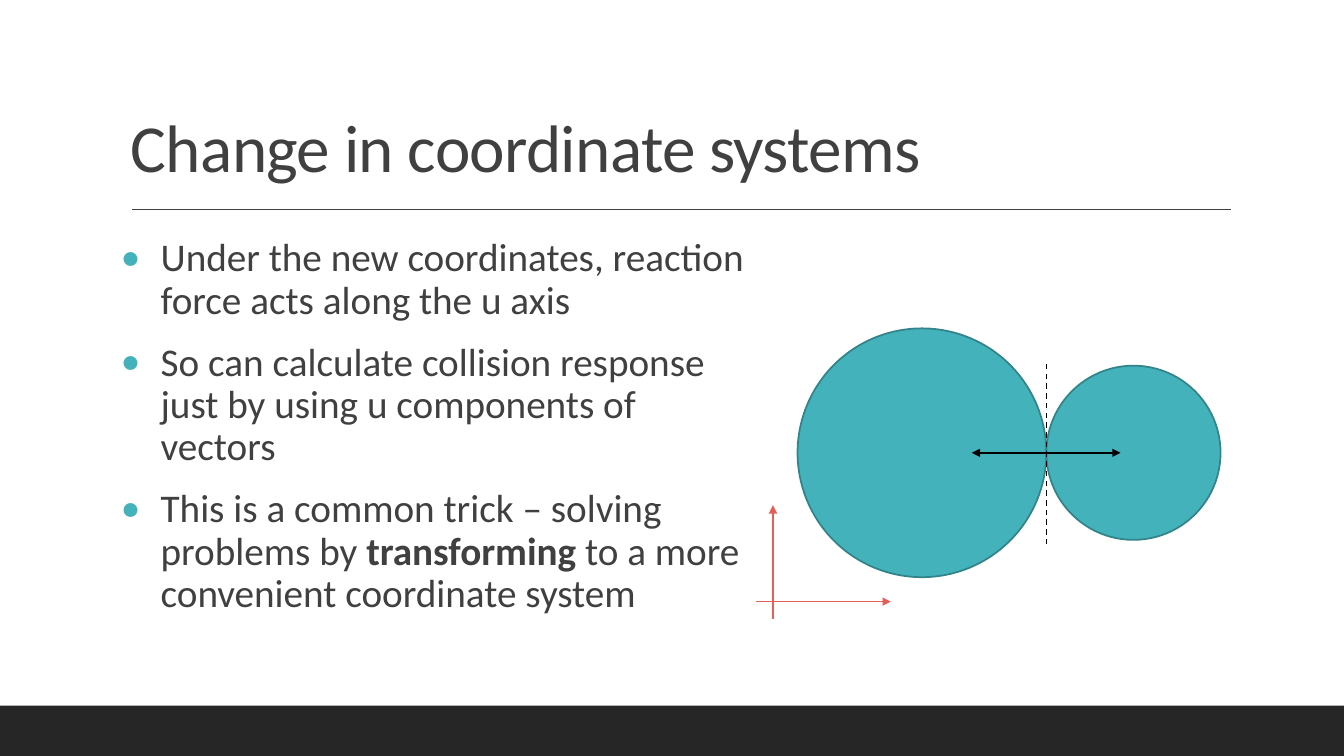
from dataclasses import dataclass

from lxml.etree import SubElement
from pptx import Presentation
from pptx.dml.color import RGBColor
from pptx.enum.dml import MSO_LINE_DASH_STYLE as Dash
from pptx.enum.shapes import MSO_CONNECTOR as Conn, MSO_SHAPE as Shape
from pptx.enum.text import MSO_ANCHOR as Anchor
from pptx.oxml.ns import qn
from pptx.util import Cm, Pt

INK = RGBColor(0x40, 0x40, 0x40)
BAND = RGBColor(0x26, 0x26, 0x26)
TEAL = RGBColor(0x44, 0xB2, 0xBB)
TEAL_DARK = RGBColor(0x32, 0x84, 0x8A)
RED = RGBColor(0xE1, 0x60, 0x57)
BLACK = RGBColor(0, 0, 0)

FONT = "Calibri"
SLIDE_W, SLIDE_H = 33.87, 19.05
BAND_H = 1.27
CONTACT_X, CENTRE_Y = 26.37, 11.41


@dataclass
class Ball:
    left: float
    size: float


@dataclass
class Line:
    x1: float
    y1: float
    x2: float
    y2: float
    color: RGBColor
    head: bool = False
    tail: bool = False
    dashed: bool = False


@dataclass
class Run:
    text: str
    bold: bool = False


BALLS = [Ball(CONTACT_X - 6.27, 6.27), Ball(CONTACT_X, 4.39)]

LINES = [
    Line(3.33, 5.28, 31.01, 5.28, INK),
    Line(CONTACT_X, 13.72, CONTACT_X, 9.09, BLACK, dashed=True),
    Line(24.49, CENTRE_Y, 28.24, CENTRE_Y, BLACK, head=True, tail=True),
    Line(19.05, 15.16, 22.45, 15.16, RED, tail=True),
    Line(19.48, 15.6, 19.48, 12.73, RED, tail=True),
]

BULLETS = [
    [Run("Under the new coordinates, reaction force acts along the u axis")],
    [Run("So can calculate collision response just by using u components of vectors")],
    [
        Run("This is a common trick – solving problems by "),
        Run("transforming", bold=True),
        Run(" to a more convenient coordinate system"),
    ],
]


def add_solid(s, kind, x: float, y: float, w: float, h: float,
              fill: RGBColor, outline: RGBColor | None = None) -> None:
    sp = s.shapes.add_shape(kind, Cm(x), Cm(y), Cm(w), Cm(h))
    sp.shadow.inherit = False
    sp.fill.solid()
    sp.fill.fore_color.rgb = fill
    if outline is None:
        sp.line.fill.background()
    else:
        sp.line.color.rgb = outline
        sp.line.width = Pt(1.25)


def add_line(s, line: Line) -> None:
    cn = s.shapes.add_connector(Conn.STRAIGHT, Cm(line.x1), Cm(line.y1),
                                Cm(line.x2), Cm(line.y2))
    cn.line.color.rgb = line.color
    cn.line.width = Pt(1)
    if line.dashed:
        cn.line.dash_style = Dash.DASH
    ln = cn.line._get_or_add_ln()
    for tag, shown in (("a:headEnd", line.head), ("a:tailEnd", line.tail)):
        if shown:
            SubElement(ln, qn(tag), type="triangle")
    SubElement(cn._element.spPr, qn("a:effectLst"))


def add_bullet(p, indent: float) -> None:
    pPr = p._p.get_or_add_pPr()
    pPr.set("marL", str(Cm(indent)))
    pPr.set("indent", str(-Cm(indent)))
    SubElement(SubElement(pPr, qn("a:buClr")), qn("a:srgbClr"), val=str(TEAL))
    SubElement(pPr, qn("a:buFont"), typeface=FONT)
    SubElement(pPr, qn("a:buChar"), char="•")


def add_text(s, paragraphs: list[list[Run]], x: float, y: float, w: float, h: float,
             *, size: float, anchor=Anchor.TOP, inset: float = 0,
             bullets: bool = False, spacing: float = 0) -> None:
    tf = s.shapes.add_textbox(Cm(x), Cm(y), Cm(w), Cm(h)).text_frame
    tf.word_wrap = True
    tf.vertical_anchor = anchor
    tf.margin_left = tf.margin_right = Cm(inset)
    for i, runs in enumerate(paragraphs):
        p = tf.add_paragraph() if i else tf.paragraphs[0]
        if bullets:
            add_bullet(p, 1)
            p.space_after = Pt(2)
        if i:
            p.space_before = Pt(12)
        p.line_spacing = 0.9
        for run in runs:
            r = p.add_run()
            r.text = run.text
            r.font.name = FONT
            r.font.size = Pt(size)
            r.font.bold = run.bold
            r.font.color.rgb = INK
            if spacing:
                r.font._element.set("spc", str(round(spacing * 100)))


def main() -> None:
    prs = Presentation()
    prs.slide_width, prs.slide_height = Cm(SLIDE_W), Cm(SLIDE_H)
    s = prs.slides.add_slide(prs.slide_layouts[6])

    add_solid(s, Shape.RECTANGLE, 0, SLIDE_H - BAND_H, SLIDE_W, BAND_H, BAND)
    add_text(s, [[Run("Change in coordinate systems")]], 3.05, 0.79, 27.94, 4.04,
             size=48, anchor=Anchor.BOTTOM, inset=0.25, spacing=-0.5)
    add_text(s, BULLETS, 3.05, 5.87, 15.82, 10.44, size=28, bullets=True)
    for ball in BALLS:
        add_solid(s, Shape.OVAL, ball.left, CENTRE_Y - ball.size / 2,
                  ball.size, ball.size, TEAL, TEAL_DARK)
    for line in LINES:
        add_line(s, line)

    prs.save("out.pptx")


if __name__ == "__main__":
    main()
